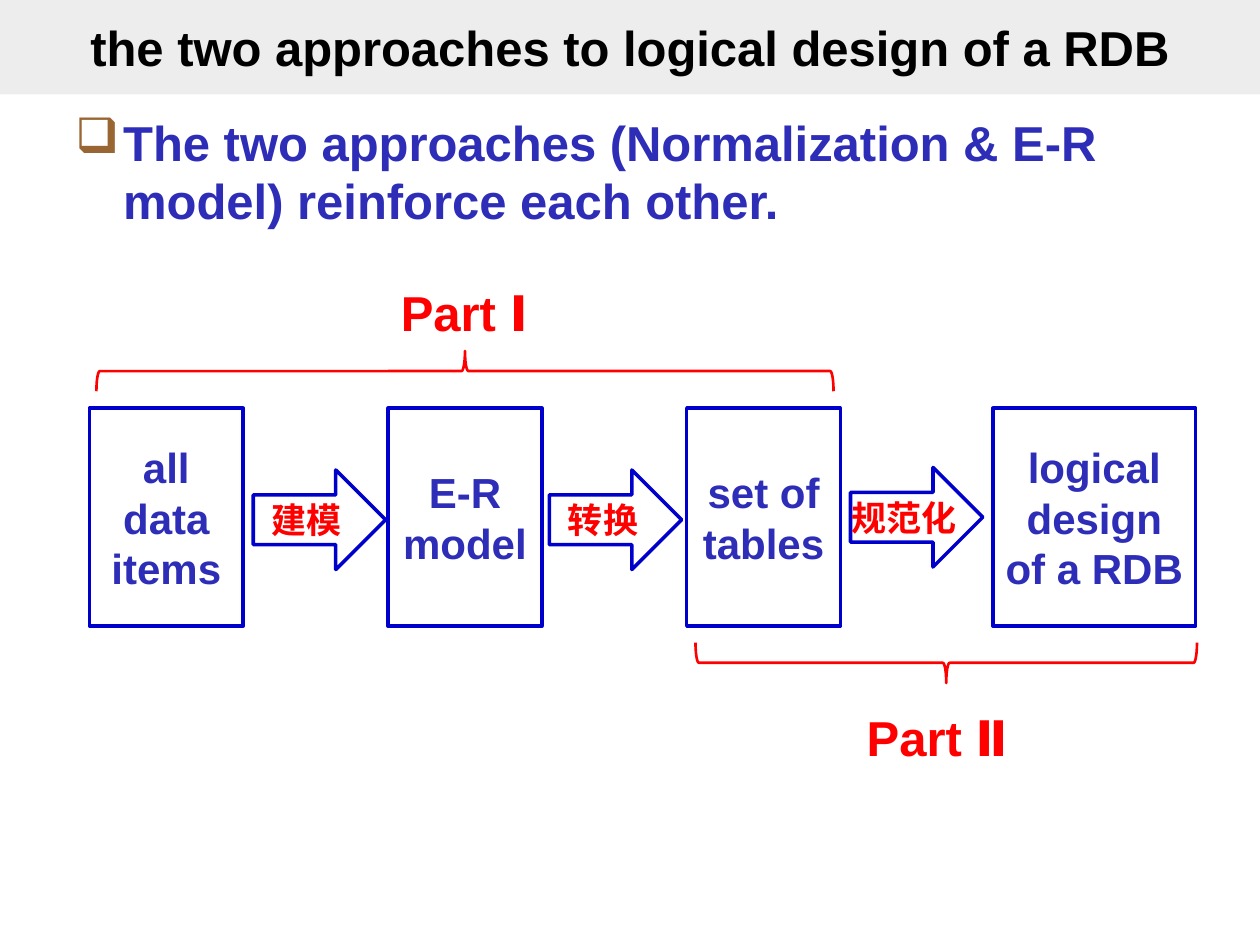
import pptx
import pptx.util
import pptx.dml.color
import pptx.enum.shapes
import pptx.enum.text
import pptx.oxml
import pptx.oxml.ns

SHAPE = pptx.enum.shapes.MSO_SHAPE
ALIGN = pptx.enum.text.PP_ALIGN
ANCHOR = pptx.enum.text.MSO_ANCHOR
COLORS = {"band": "DDDDDD", "title": "000000", "text": "2D2DB7",
          "outline": "0000CC", "accent": "FF0000", "bullet": "996633"}
FONT = "Arial"

# The slide is a grid of 100 columns by 75 rows with square cells.
COLS, ROWS = 100, 75
CELL = pptx.util.Inches(0.1)

BOX_TOP, BOX_HEIGHT = 32.4, 17.3
BOX_WIDTH, BOX_STEP = 12.2, 23.7
FIRST_BOX = 7.1
BOXES = ["all data items", "E-R\nmodel", "set of tables"]
ARROWS = [(20.1, 37.3, "建模"), (43.6, 37.3, "转换"), (67.5, 37.1, "规范化")]


def cells(n):
    return round(n * CELL)


def rgb(name):
    return pptx.dml.color.RGBColor.from_string(COLORS[name])


def format_text(shape, text, size, color, align=ALIGN.CENTER, inset=0.1):
    tf = shape.text_frame
    tf.text = text
    tf.word_wrap = True
    tf.margin_left = tf.margin_right = pptx.util.Inches(inset)
    for p in tf.paragraphs:
        p.alignment = align
        for r in p.runs:
            r.font.name = FONT
            r.font.size = pptx.util.Pt(size)
            r.font.bold = True
            r.font.color.rgb = rgb(color)
    return tf


def add_outline(s, kind, left, top, width, height, color="outline", weight=2):
    sp = s.shapes.add_shape(kind, *map(cells, (left, top, width, height)))
    sp.shadow.inherit = False
    sp.fill.background()
    sp.line.color.rgb = rgb(color)
    sp.line.width = pptx.util.Pt(weight)
    return sp


def add_box(s, left, width, text):
    sp = add_outline(s, SHAPE.RECTANGLE, left, BOX_TOP, width, BOX_HEIGHT)
    tf = format_text(sp, text, 24, "text", inset=0.09)
    tf.vertical_anchor = ANCHOR.MIDDLE


def add_arrow(s, left, top, text):
    sp = add_outline(s, SHAPE.RIGHT_ARROW, left, top, 10.5, 7.9)
    tf = format_text(sp, text, 20, "accent", inset=0)
    tf.vertical_anchor = ANCHOR.MIDDLE


def add_brace(s, left, top, span, rotation):
    """Place a horizontal brace by its visible left, top and span."""
    depth = 3.2
    shift = (span - depth) / 2
    sp = add_outline(s, SHAPE.LEFT_BRACE, left + shift, top - shift,
                     depth, span, "accent", 1.5)
    sp.rotation = rotation


def add_text(s, left, top, width, height, text, color, align):
    sp = s.shapes.add_textbox(*map(cells, (left, top, width, height)))
    return format_text(sp, text, 28, color, align)


def add_title(s, text):
    sp = s.shapes.add_shape(SHAPE.RECTANGLE, 0, 0, cells(COLS), cells(7.5))
    sp.shadow.inherit = False
    sp.line.fill.background()
    sp.fill.solid()
    sp.fill.fore_color.rgb = rgb("band")
    color = sp.fill._xPr.find(".//" + pptx.oxml.ns.qn("a:srgbClr"))
    color.append(pptx.oxml.parse_xml(
        f'<a:alpha {pptx.oxml.ns.nsdecls("a")} val="50000"/>'))
    format_text(sp, text, 28, "title").vertical_anchor = ANCHOR.MIDDLE


def add_bullet(p, indent):
    pPr = p._p.get_or_add_pPr()
    pPr.set("marL", str(cells(indent)))
    pPr.set("indent", str(-cells(indent)))
    ns = pptx.oxml.ns.nsdecls("a")
    for xml in (f'<a:buClr {ns}><a:srgbClr val="{COLORS["bullet"]}"/></a:buClr>',
                f'<a:buChar {ns} char="❑"/>'):
        pPr.append(pptx.oxml.parse_xml(xml))


def main():
    prs = pptx.Presentation()
    prs.slide_width, prs.slide_height = cells(COLS), cells(ROWS)
    s = prs.slides.add_slide(prs.slide_layouts[6])

    add_title(s, "the two approaches to logical design of a RDB")
    tf = add_text(s, 5, 8.4, 90, 10.4,
                  "The two approaches (Normalization & E-R model) "
                  "reinforce each other.", "text", ALIGN.LEFT)
    add_bullet(tf.paragraphs[0], 3.8)

    for i, text in enumerate(BOXES):
        add_box(s, FIRST_BOX + i * BOX_STEP, BOX_WIDTH, text)
    add_box(s, 78.8, 16.1, "logical design of a RDB")
    for left, top, text in ARROWS:
        add_arrow(s, left, top, text)

    add_brace(s, 7.65, 27.85, 58.5, 90)
    add_text(s, 29.6, 21.9, 14.5, 5.7, "Part Ⅰ", "accent", ALIGN.CENTER)
    add_brace(s, 55.2, 51, 39.8, 270)
    add_text(s, 67.8, 55.7, 14.5, 5.7, "Part Ⅱ", "accent", ALIGN.LEFT)

    prs.save("out.pptx")


if __name__ == "__main__":
    main()
